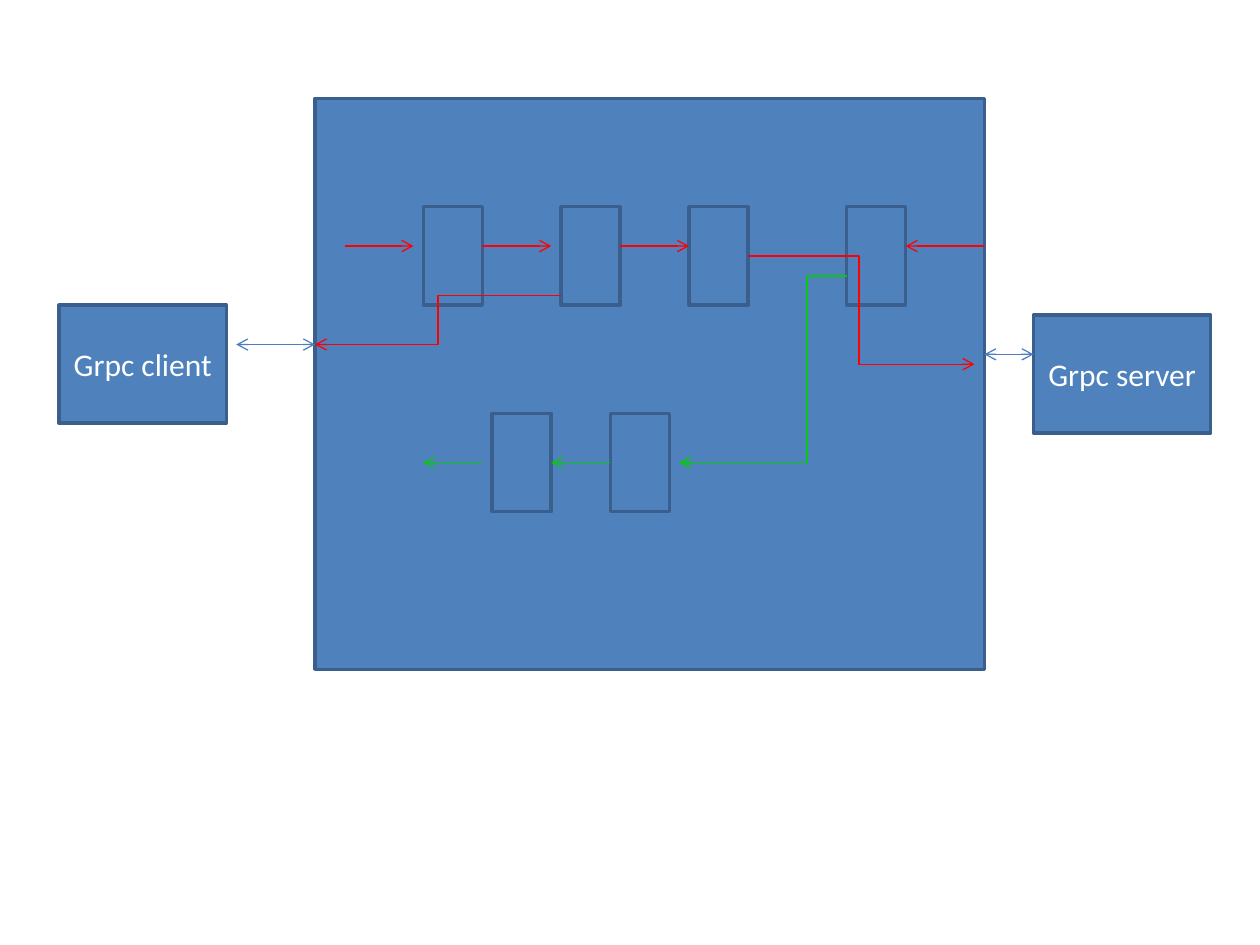
import dataclasses
import lxml.etree
import pptx
import pptx.dml.color
import pptx.enum.shapes
import pptx.enum.text
import pptx.oxml.ns
import pptx.util


@dataclasses.dataclass(frozen=True)
class Theme:
    """Hold the colours, type and line sizes."""
    fill: str = "4F81BD"
    edge: str = "3A5F8C"
    link: str = "4B7EBC"
    red: str = "FF0000"
    green: str = "09C712"
    white: str = "FFFFFF"
    font: str = "Calibri"
    size: float = 18
    thick: float = 2
    thin: float = 0.75
    path_line: float = 1


def tint(code):
    """Turn a hex code into a colour."""
    return pptx.dml.color.RGBColor.from_string(code)


def node(base, tag, **attrs):
    """Append a drawing element to a base element."""
    return lxml.etree.SubElement(base, pptx.oxml.ns.qn(tag), attrs)


def write(frame, text, font, size, color):
    """Put centred text in a frame."""
    frame.word_wrap = True
    frame.vertical_anchor = pptx.enum.text.MSO_ANCHOR.MIDDLE
    para = frame.paragraphs[0]
    para.alignment = pptx.enum.text.PP_ALIGN.CENTER
    run = para.add_run()
    run.text = text
    run.font.name = font
    run.font.size = pptx.util.Pt(size)
    run.font.color.rgb = tint(color)


class Canvas:
    """Draw boxes and arrows on a grid of 128 columns."""

    def __init__(self, deck, theme):
        """Add a blank slide to the deck."""
        self.theme = theme
        self.unit = deck.slide_width / 128
        self.slide = deck.slides.add_slide(deck.slide_layouts[6])

    def grid(self, *cells):
        """Turn grid cells into lengths."""
        return [pptx.util.Emu(round(cell * self.unit)) for cell in cells]

    def box(self, col, row, wide, high, text=""):
        """Draw a rectangle with an optional label."""
        look = self.theme
        shape = self.slide.shapes.add_shape(
            pptx.enum.shapes.MSO_SHAPE.RECTANGLE,
            *self.grid(col, row, wide, high))
        shape.shadow.inherit = False
        shape.fill.solid()
        shape.fill.fore_color.rgb = tint(look.fill)
        shape.line.color.rgb = tint(look.edge)
        shape.line.width = pptx.util.Pt(look.thick)
        if text:
            write(shape.text_frame, text, font=look.font, size=look.size,
                  color=look.white)

    def arrow(self, start, end, color, ends=("tail",), bend=None, home=None,
              width=None):
        """Draw a straight or bent line with arrowheads."""
        kinds = pptx.enum.shapes.MSO_CONNECTOR
        kind = kinds.ELBOW if bend else kinds.STRAIGHT
        home = home or self.slide.shapes
        line = home.add_connector(kind, *self.grid(*start, *end))
        line.line.color.rgb = tint(color)
        line.line.width = pptx.util.Pt(width or self.theme.thin)
        props = line._element.spPr
        for name in ends:
            node(props.find(pptx.oxml.ns.qn("a:ln")), f"a:{name}End",
                 type="arrow")
        node(props, "a:effectLst")
        if bend:
            guides = next(props.iter(pptx.oxml.ns.qn("a:avLst")))
            node(guides, "a:gd", name="adj1",
                 fmla=f"val {round(bend * 100000)}")

    def route(self, stops, color):
        """Draw grouped lines through stops, with one arrowhead at the end."""
        home = self.slide.shapes.add_group_shape().shapes
        for start, end in zip(stops, stops[1:]):
            ends = ("tail",) if end == stops[-1] else ()
            self.arrow(start, end, color, ends, home=home,
                       width=self.theme.path_line)


deck = pptx.Presentation()
deck.slide_width = pptx.util.Inches(10)
deck.slide_height = pptx.util.Inches(7.5)
theme = Theme()
page = Canvas(deck, theme)

page.box(6, 31, 17, 12, "Grpc client")
page.box(105, 32, 18, 12, "Grpc server")
page.box(32, 10, 68, 58)
for row, cols in ((21, (43, 57, 70, 86)), (42, (50, 62))):
    for col in cols:
        page.box(col, row, 6, 10)

for start, end in ((35, 42), (49, 56), (63, 70), (100, 92)):
    page.arrow((start, 25), (end, 25), theme.red)
page.arrow((76, 26), (99, 37), theme.red, bend=0.49)
page.arrow((57, 30), (32, 35), theme.red, bend=0.5)

both = ("head", "tail")
page.arrow((24, 35), (32, 35), theme.link, both)
page.arrow((100, 36), (105, 36), theme.link, both)

page.route([(86, 28.05), (82, 28.05), (82, 47), (69, 47)], theme.green)
for start, end in ((62, 56), (49, 43)):
    page.arrow((start, 47), (end, 47), theme.green)

deck.save("out.pptx")
